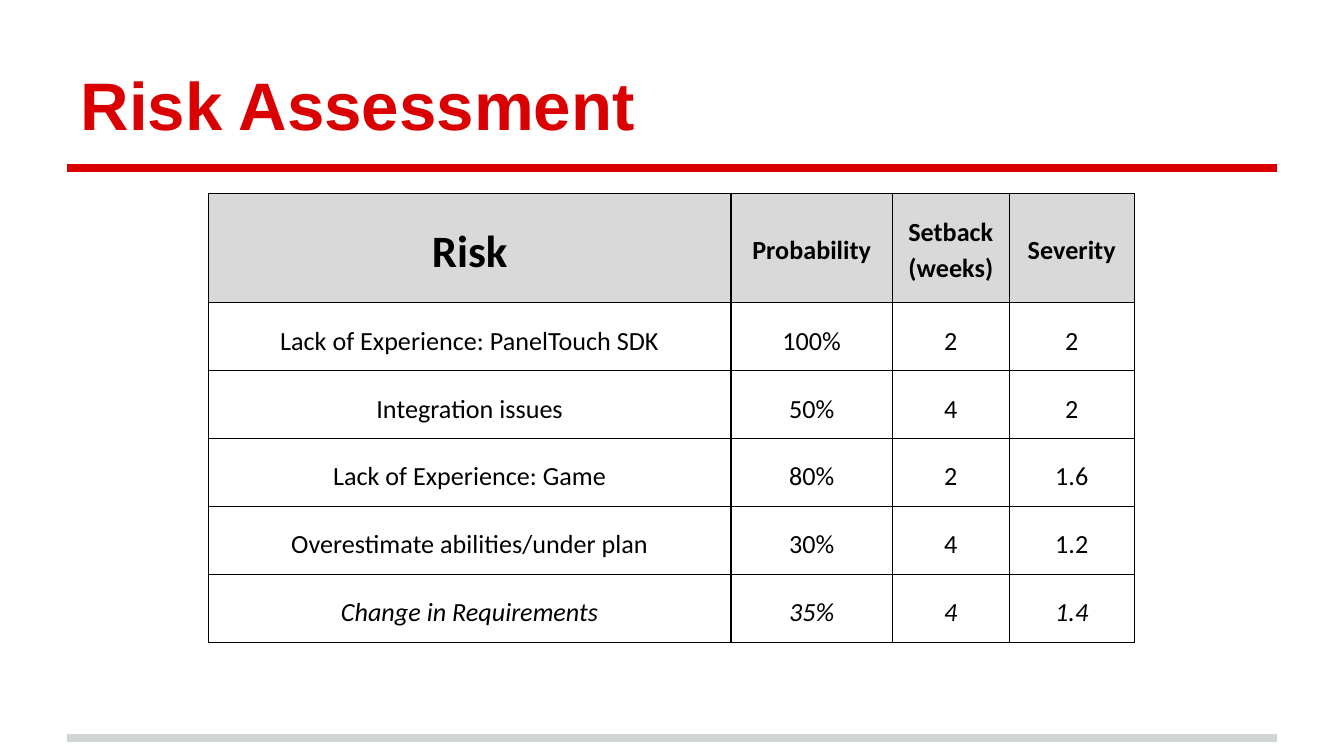
from lxml import etree
from pptx import Presentation
from pptx import util as u
from pptx.dml.color import RGBColor
from pptx.enum import shapes, text
from pptx.oxml.ns import qn

RED = RGBColor(0xDA, 0x00, 0x02)
SILVER = RGBColor(0xCF, 0xD4, 0xD4)
HEADER_GRAY = RGBColor(0xD9, 0xD9, 0xD9)
BLACK = RGBColor(0, 0, 0)

# Widescreen slide, 16:9
WIDTH = 10
HEIGHT = WIDTH * 9 / 16
MARGIN = 0.05 * WIDTH
INSET = u.Inches(0.1)

HEADINGS = ["Risk", "Probability", "Setback (weeks)", "Severity"]
RISKS = [
    ["Lack of Experience: PanelTouch SDK", "100%", "2", "2"],
    ["Integration issues", "50%", "4", "2"],
    ["Lack of Experience: Game", "80%", "2", "1.6"],
    ["Overestimate abilities/under plan", "30%", "4", "1.2"],
    ["Change in Requirements", "35%", "4", "1.4"],
]

TABLE_LEFT, TABLE_TOP = 1.55, 1.44
COLUMN_WIDTHS = [3.89, 1.2, 0.87, 0.93]
HEADER_HEIGHT = 0.81
ROW_HEIGHT = 2.53 / len(RISKS)


def add_run(paragraph, wording, font, size, color, bold=False, italic=False):
    run = paragraph.add_run()
    run.text = wording
    run.font.name = font
    run.font.size = u.Pt(size)
    run.font.color.rgb = color
    run.font.bold = bold
    run.font.italic = italic


def add_rule(slide, y, color):
    """Horizontal rule from margin to margin."""
    rule = slide.shapes.add_connector(
        shapes.MSO_CONNECTOR.STRAIGHT,
        u.Inches(MARGIN), u.Inches(y), u.Inches(WIDTH - MARGIN), u.Inches(y))
    rule.line.color.rgb = color
    rule.line.width = u.Pt(4)
    etree.SubElement(rule._element.spPr, qn("a:effectLst"))


def fill_title(slide, wording):
    title = slide.shapes.title
    title.left, title.top = u.Inches(MARGIN), u.Inches(0.23)
    title.width, title.height = u.Inches(WIDTH - 2 * MARGIN), u.Inches(0.94)
    frame = title.text_frame
    frame.auto_size = text.MSO_AUTO_SIZE.NONE
    frame.vertical_anchor = text.MSO_ANCHOR.BOTTOM
    frame.margin_left = frame.margin_right = INSET
    frame.margin_top = frame.margin_bottom = INSET
    heading = frame.paragraphs[0]
    heading.alignment = text.PP_ALIGN.LEFT
    add_run(heading, wording, "Arial", 36, RED, bold=True)


def add_borders(cell):
    """Thin black line on each side; borders come before the fill in tcPr."""
    properties = cell._tc.get_or_add_tcPr()
    for position, side in enumerate(("lnL", "lnR", "lnT", "lnB")):
        border = etree.Element(qn(f"a:{side}"), w=str(u.Pt(0.75)))
        solid = etree.SubElement(border, qn("a:solidFill"))
        etree.SubElement(solid, qn("a:srgbClr"), val=str(BLACK))
        properties.insert(position, border)


def fill_cell(cell, wording, anchor, shade=None, size=14, **style):
    cell.vertical_anchor = anchor
    cell.margin_left = cell.margin_right = INSET
    cell.margin_top = cell.margin_bottom = INSET
    if shade is None:
        cell.fill.background()
    else:
        cell.fill.solid()
        cell.fill.fore_color.rgb = shade
    add_borders(cell)
    paragraph = cell.text_frame.paragraphs[0]
    paragraph.alignment = text.PP_ALIGN.CENTER
    paragraph.line_spacing = 1.15
    add_run(paragraph, wording, "Calibri", size, BLACK, **style)


def add_risk_table(slide):
    heights = [HEADER_HEIGHT] + [ROW_HEIGHT] * len(RISKS)
    risks = slide.shapes.add_table(
        len(heights), len(COLUMN_WIDTHS), u.Inches(TABLE_LEFT), u.Inches(TABLE_TOP),
        u.Inches(sum(COLUMN_WIDTHS)), u.Inches(sum(heights))).table
    risks.first_row = risks.horz_banding = False
    for column, width in zip(risks.columns, COLUMN_WIDTHS):
        column.width = u.Inches(width)
    for row, height in zip(risks.rows, heights):
        row.height = u.Inches(height)

    # Header row, with the first heading larger
    for c, heading in enumerate(HEADINGS):
        fill_cell(risks.cell(0, c), heading, text.MSO_ANCHOR.MIDDLE, HEADER_GRAY,
                  size=24 if c == 0 else 14, bold=True)

    # Risks, the last one in italics
    for r, risk in enumerate(RISKS, start=1):
        for c, entry in enumerate(risk):
            fill_cell(risks.cell(r, c), entry, text.MSO_ANCHOR.BOTTOM,
                      italic=r == len(RISKS))


def main():
    deck = Presentation()
    deck.slide_width, deck.slide_height = u.Inches(WIDTH), u.Inches(HEIGHT)
    slide = deck.slides.add_slide(deck.slide_layouts.get_by_name("Title Only"))

    # Footer and title rules
    add_rule(slide, 5.49, SILVER)
    add_rule(slide, 1.25, RED)

    fill_title(slide, "Risk Assessment")
    add_risk_table(slide)
    deck.save("out.pptx")


if __name__ == "__main__":
    main()
